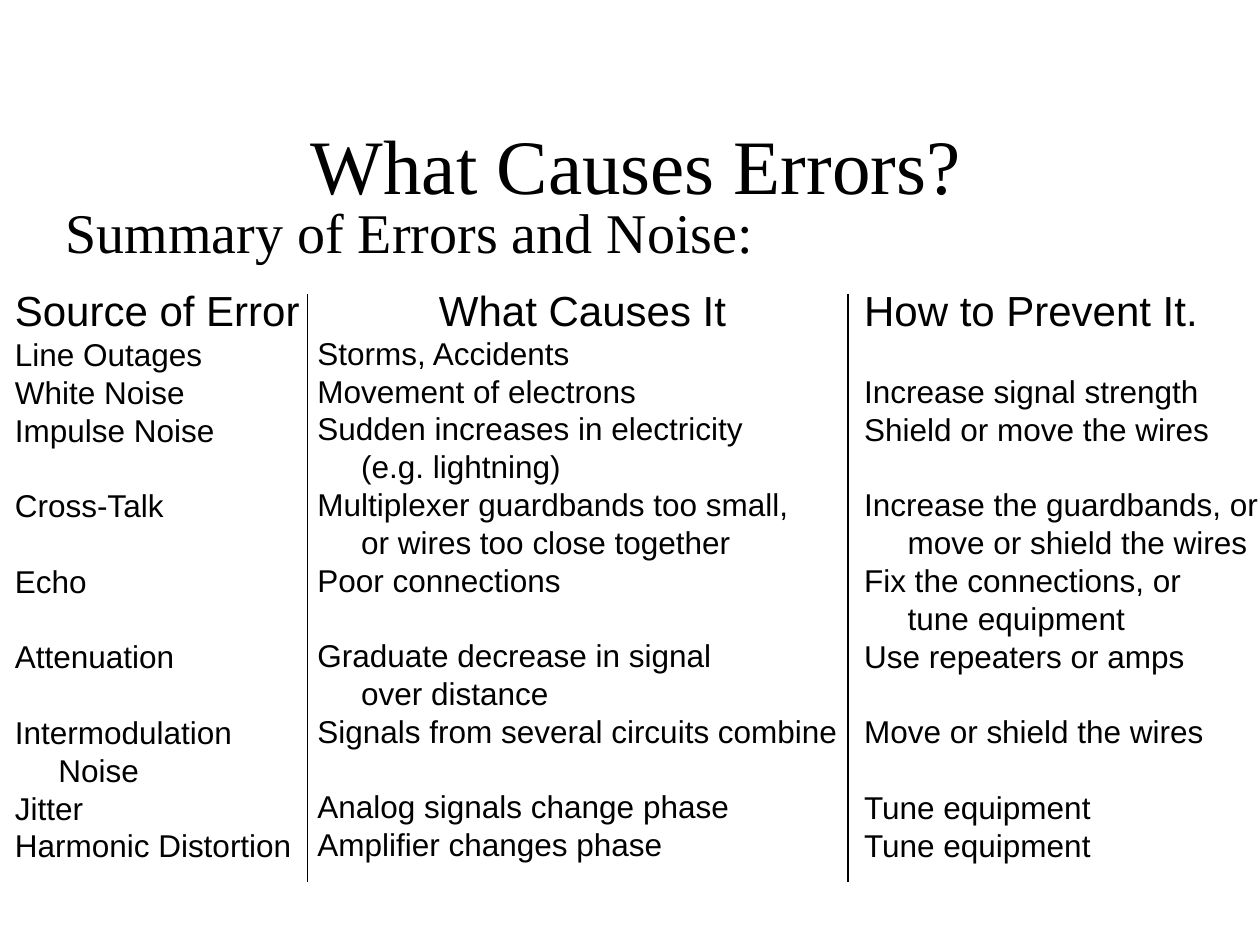
from dataclasses import dataclass

from lxml import etree
from pptx import Presentation
from pptx.dml.color import RGBColor
from pptx.enum.shapes import MSO_CONNECTOR
from pptx.enum.text import MSO_ANCHOR, PP_ALIGN
from pptx.oxml.ns import qn
from pptx.util import Cm, Pt

STRAIGHT = MSO_CONNECTOR.STRAIGHT
TOP, MIDDLE = MSO_ANCHOR.TOP, MSO_ANCHOR.MIDDLE
LEFT, CENTER = PP_ALIGN.LEFT, PP_ALIGN.CENTER
BLANK_LAYOUT = 6
BLACK = "000000"
LINE_FACTOR = 1.2
SIDE_INSET, TOP_INSET = 0.25, 0.13
CONTINUATION_INDENT = 0.88
HEADING_STOPS = (8.55, 17.12)
DIVIDERS = (6.2, 17.1)
DIVIDER_TOP, DIVIDER_BOTTOM = 5.92, 17.78


@dataclass
class Line:
    text: str
    size: float = 18
    font: str = "Arial"
    align: int = LEFT
    skipped_rows: int = 0
    indent: float = 0
    stops: tuple[float, ...] = ()


@dataclass
class Block:
    left: float
    top: float
    width: float
    height: float
    lines: list[Line]
    anchor: int = TOP


def after_gap(text: str) -> Line:
    return Line(text, skipped_rows=1)


def continuation(text: str) -> Line:
    return Line(text, indent=CONTINUATION_INDENT)


BLOCKS = [
    Block(1.9, 1.7, 21.6, 3.18,
          [Line("What Causes Errors?", 44, "Times New Roman", CENTER)], MIDDLE),
    Block(1.07, 3.85, 23.5, 2.11,
          [Line("Summary of Errors and Noise:", 32, "Times New Roman")]),
    Block(0.05, 5.61, 24.36, 11.94, [
        Line("Source of Error\tWhat Causes It\tHow to Prevent It.", 24, stops=HEADING_STOPS),
        Line("Line Outages"),
        Line("White Noise"),
        Line("Impulse Noise"),
        after_gap("Cross-Talk"),
        after_gap("Echo"),
        after_gap("Attenuation"),
        after_gap("Intermodulation"),
        continuation("Noise"),
        Line("Jitter"),
        Line("Harmonic Distortion"),
    ]),
    Block(6.15, 6.6, 10.97, 10.92, [
        Line("Storms, Accidents"),
        Line("Movement of electrons"),
        Line("Sudden increases in electricity"),
        continuation("(e.g. lightning)"),
        Line("Multiplexer guardbands too small,"),
        continuation("or wires too close together"),
        Line("Poor connections"),
        after_gap("Graduate decrease in signal"),
        continuation("over distance"),
        Line("Signals from several circuits combine"),
        after_gap("Analog signals change phase"),
        Line("Amplifier changes phase"),
    ]),
    Block(17.17, 7.37, 8.43, 10.16, [
        Line("Increase signal strength"),
        Line("Shield or move the wires"),
        after_gap("Increase the guardbands, or"),
        continuation("move or shield the wires"),
        Line("Fix the connections, or"),
        continuation("tune equipment"),
        Line("Use repeaters or amps"),
        after_gap("Move or shield the wires"),
        after_gap("Tune equipment"),
        Line("Tune equipment"),
    ]),
]


def set_color(target, value: str) -> None:
    target.rgb = RGBColor.from_string(value)


def apply_format(target, values: dict) -> None:
    for name, value in values.items():
        setattr(target, name, value)


def write_line(para, line: Line) -> None:
    properties = para._p.get_or_add_pPr()
    properties.set("marL", str(Cm(line.indent)))
    if line.stops:
        stop_list = etree.SubElement(properties, qn("a:tabLst"))
        for stop in line.stops:
            etree.SubElement(stop_list, qn("a:tab"), pos=str(Cm(stop)), algn="l")
    pitch = line.size * LINE_FACTOR
    apply_format(para, {
        "alignment": line.align,
        "line_spacing": Pt(pitch),
        "space_before": Pt(pitch * line.skipped_rows),
    })
    span = para.add_run()
    span.text = line.text
    apply_format(span.font, {"name": line.font, "size": Pt(line.size)})
    set_color(span.font.color, BLACK)


def draw_block(page, block: Block) -> None:
    box = page.shapes.add_textbox(
        Cm(block.left), Cm(block.top), Cm(block.width), Cm(block.height))
    frame = box.text_frame
    apply_format(frame, {
        "word_wrap": True,
        "vertical_anchor": block.anchor,
        "margin_left": Cm(SIDE_INSET),
        "margin_right": Cm(0),
        "margin_top": Cm(TOP_INSET),
        "margin_bottom": Cm(TOP_INSET),
    })
    for index, line in enumerate(block.lines):
        para = frame.add_paragraph() if index else frame.paragraphs[0]
        write_line(para, line)


def draw_divider(page, x: float) -> None:
    divider = page.shapes.add_connector(
        STRAIGHT, Cm(x), Cm(DIVIDER_TOP), Cm(x), Cm(DIVIDER_BOTTOM))
    divider.line.width = Pt(1)
    set_color(divider.line.color, BLACK)
    etree.SubElement(divider._element.spPr, qn("a:effectLst"))


def main() -> None:
    deck = Presentation()
    apply_format(deck, {"slide_width": Cm(25.4), "slide_height": Cm(19.05)})
    page = deck.slides.add_slide(deck.slide_layouts[BLANK_LAYOUT])
    for block in BLOCKS:
        draw_block(page, block)
    for x in DIVIDERS:
        draw_divider(page, x)
    deck.save("out.pptx")


if __name__ == "__main__":
    main()
